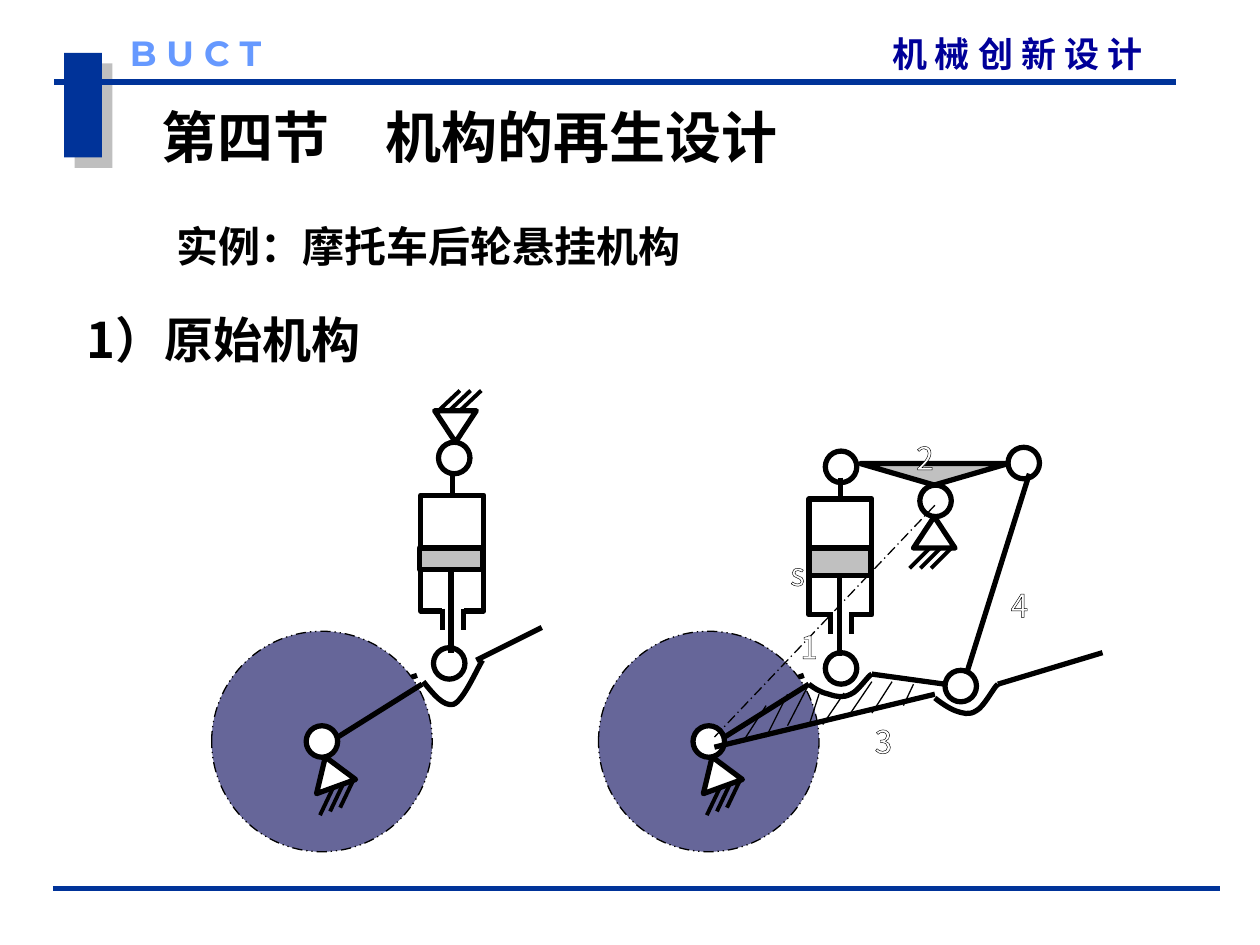
from lxml import etree
from pptx import Presentation
from pptx.dml.color import RGBColor
from pptx.enum.dml import MSO_LINE
from pptx.enum.shapes import MSO_CONNECTOR, MSO_SHAPE
from pptx.enum.text import MSO_ANCHOR, PP_ALIGN
from pptx.oxml.ns import qn
from pptx.util import Inches, Pt

RECT, OVAL = MSO_SHAPE.RECTANGLE, MSO_SHAPE.OVAL
TRI, MERGE = MSO_SHAPE.ISOSCELES_TRIANGLE, MSO_SHAPE.FLOWCHART_MERGE
STRAIGHT = MSO_CONNECTOR.STRAIGHT
DASH, DASH2 = MSO_LINE.LONG_DASH_DOT, MSO_LINE.DASH_DOT_DOT
LEFT, TOP = PP_ALIGN.LEFT, MSO_ANCHOR.TOP
BLACK, WHITE, GREY, NAVY = "000000", "FFFFFF", "C0C0C0", "003399"
NOTO = "Noto Sans CJK SC"


def color(code):
    return RGBColor.from_string(code)


def node(parent, tag, **attrs):
    return etree.SubElement(parent, qn(tag), {k: str(v) for k, v in attrs.items()})


class Sketch:
    def __init__(self, slide):
        self.slide = slide
        self.shapes = slide.shapes

    def stroke(self, line, code, width, dash=None):
        line.color.rgb = color(code)
        line.width = Pt(width)
        if dash:
            line.dash_style = dash

    def shape(self, kind, x, y, w, h, fill=WHITE, line=BLACK, width=3, rot=0, dash=None):
        item = self.shapes.add_shape(kind, *map(Inches, (x, y, w, h)))
        item.shadow.inherit = False
        item.rotation = rot
        item.fill.solid()
        item.fill.fore_color.rgb = color(fill)
        if line:
            self.stroke(item.line, line, width, dash)
        else:
            item.line.fill.background()
        return item

    def line(self, x1, y1, x2, y2, width=3, code=BLACK, dash=None):
        item = self.shapes.add_connector(STRAIGHT, *map(Inches, (x1, y1, x2, y2)))
        self.stroke(item.line, code, width, dash)
        node(item._element.spPr, "a:effectLst")
        return item

    def curve(self, *points):
        """Draw cubic curves: a start, then three points for each curve."""
        spots = [(Inches(x), Inches(y)) for x, y in points]
        build = self.shapes.build_freeform(*spots[0])
        build.add_line_segments(spots[1:], close=False)
        item = build.convert_to_shape()
        item.shadow.inherit = False
        item.fill.background()
        self.stroke(item.line, BLACK, 3)
        steps = list(item._element.iter(qn("a:lnTo")))
        for i in range(0, len(steps), 3):
            bend = node(steps[i].getparent(), "a:cubicBezTo")
            for step in steps[i:i + 3]:
                bend.append(step[0])
                step.getparent().remove(step)

    def fill_text(self, box, text, size, code, name, bold=True, pad=True, wrap=True):
        frame = box.text_frame
        frame.word_wrap = wrap
        frame.vertical_anchor = TOP
        frame.margin_left = frame.margin_right = Inches(0.1 if pad else 0)
        frame.margin_top = frame.margin_bottom = Inches(0.05 if pad else 0)
        frame.text = text
        para = frame.paragraphs[0]
        para.alignment = LEFT
        para.space_before = Pt(0)
        props = para._p.get_or_add_pPr()
        props.set("marL", "0")
        props.set("indent", "0")
        node(props, "a:buNone")
        font = para.font
        font.size, font.bold, font.name = Pt(size), bold, name
        font.color.rgb = color(code)
        node(props.find(qn("a:defRPr")), "a:ea", typeface=NOTO)
        return para

    def text(self, x, y, w, h, *args, **style):
        box = self.shapes.add_textbox(*map(Inches, (x, y, w, h)))
        return self.fill_text(box, *args, **style)

    def holder(self, index, x, y, w, h, *args):
        box = self.slide.placeholders[index]
        box.left, box.top, box.width, box.height = map(Inches, (x, y, w, h))
        self.fill_text(box, *args)

    def label(self, x, y, text):
        para = self.text(x, y, 0.12, 0.25, text, 18, WHITE, NOTO, bold=False, wrap=False)
        edge = node(para.runs[0]._r.get_or_add_rPr(), "a:ln", w=Pt(0.75))
        node(node(edge, "a:solidFill"), "a:srgbClr", val=BLACK)

    def joint(self, x, y):
        self.shape(OVAL, x, y, 0.25, 0.25)

    def ground(self, x, y, rot, start, step, reach):
        """Draw a fixed support with three hatch lines."""
        self.shape(TRI, x, y, 0.33, 0.25, rot=rot)
        for i in range(3):
            hx, hy = start[0] + i * step[0], start[1] + i * step[1]
            self.line(hx, hy, hx + reach[0], hy + reach[1], 2.25)

    def wheel(self, x):
        """Draw a wheel with its hub, support and arm."""
        self.line(x + 1.23, 5.5, x + 1.63, 5.36)
        self.shape(OVAL, x, 5.01, 1.75, 1.75, "666699", width=0.75, dash=DASH2)
        self.joint(x + 0.75, 5.76)
        self.ground(x + 0.78, 6, 340, (x + 0.96, 6.26), (0.08, -0.03), (-0.1, 0.21))
        self.line(x + 1, 5.85, x + 1.67, 5.43)

    def damper(self, x, y, px, py, pw, ph):
        """Draw a cylinder at x, y with its piston box."""
        case = self.shape(RECT, x, y, 0.5, 0.92)
        self.shape(RECT, x + 0.17, y + 0.67, 0.17, 0.42, line=WHITE, width=0.75)
        stem = self.line(x + 0.25, y - 0.17, x + 0.25, y)
        stem.end_connect(case, 0)
        for lip in (0.17, 0.34):
            self.line(x + lip, y + 0.9, x + lip, y + 1.07)
        piston = self.shape(RECT, px, py, pw, ph, GREY)
        rod = self.line(px + pw / 2, py + ph, px + pw / 2, y + 1.25)
        rod.begin_connect(piston, 2)


def main():
    deck = Presentation()
    deck.slide_width, deck.slide_height = Inches(10), Inches(7.5)
    art = Sketch(deck.slides.add_slide(deck.slide_layouts[1]))

    # Page frame
    mark = art.shape(RECT, 0.51, 0.42, 0.3, 0.83, NAVY, None)
    cast = node(mark._element.spPr.find(qn("a:effectLst")), "a:outerShdw",
                dist=Pt(8.5), dir=45 * 60000, algn="ctr", rotWithShape=0)
    node(node(cast, "a:srgbClr", val="808080"), "a:alpha", val=50000)
    art.line(0.43, 0.65, 9.33, 0.65, code=NAVY)
    art.line(0.42, 7.05, 9.68, 7.05, code=NAVY)
    art.text(7.08, 0.26, 2.46, 0.33, "机 械 创 新 设 计", 20, "000099", NOTO, pad=False)
    art.text(1.03, 0.25, 1.42, 0.33, "B U C T", 20, "6699FF", "Montserrat", pad=False)

    # Headings
    art.holder(0, 1.18, 0.76, 5.59, 0.64, "第四节　机构的再生设计", 32, BLACK, "Arial")
    art.text(1.3, 1.7, 6.3, 0.5, "实例：摩托车后轮悬挂机构", 24, BLACK, "Arial")
    art.holder(1, 0.59, 2.41, 2.68, 0.57, "1）原始机构", 28, BLACK, NOTO)

    # Left mechanism
    art.line(3.78, 5.24, 4.3, 4.98)
    art.joint(3.48, 3.51)
    art.ground(3.45, 3.26, 180, (3.48, 3.26), (0.085, 0), (0.17, -0.16))
    art.joint(3.44, 5.14)
    art.curve((3.36, 5.41), (3.44, 5.51), (3.52, 5.61), (3.6, 5.59),
              (3.68, 5.56), (3.79, 5.3), (3.83, 5.24))
    art.damper(3.34, 3.93, 3.33, 4.35, 0.5, 0.17)
    art.wheel(1.68)

    # Right mechanism: joints, wheel and damper
    art.joint(7.3, 3.85)
    art.ground(7.25, 4.1, 0, (7.38, 4.35), (0.085, 0), (-0.16, 0.16))
    for x, y in ((7.5, 5.32), (6.55, 3.58), (8, 3.55), (6.55, 5.18)):
        art.joint(x, y)
    art.wheel(4.75)
    art.damper(6.42, 3.96, 6.42, 4.35, 0.49, 0.22)

    # Right mechanism: rocker, links and swing arm
    art.shape(MERGE, 6.83, 3.68, 1.17, 0.17, GREY)
    for ends in ((5.67, 5.93, 7.42, 5.51), (8.17, 3.76, 7.67, 5.35),
                 (6.92, 5.35, 7.5, 5.43), (7.92, 5.43, 8.75, 5.18)):
        art.line(*ends)
    art.curve((6.42, 5.43), (6.47, 5.47), (6.53, 5.5), (6.58, 5.51), (6.64, 5.53),
              (6.69, 5.54), (6.75, 5.51), (6.81, 5.49), (6.89, 5.36), (6.92, 5.35))
    art.curve((7.42, 5.54), (7.47, 5.58), (7.53, 5.62), (7.58, 5.64), (7.64, 5.66),
              (7.69, 5.68), (7.75, 5.64), (7.81, 5.61), (7.89, 5.45), (7.92, 5.43))

    # Swing arm hatching and centre line
    for ends in ((6.08, 5.6, 5.92, 5.85), (6.25, 5.51, 6.08, 5.85),
                 (6.42, 5.43, 6.25, 5.76), (6.5, 5.51, 6.42, 5.76),
                 (6.7, 5.5, 6.53, 5.75), (6.92, 5.41, 6.75, 5.66),
                 (7.08, 5.41, 6.92, 5.66), (7.25, 5.43, 7.17, 5.6)):
        art.line(*ends, width=0.75)
    art.line(7.42, 4.01, 5.67, 5.85, 0.75, dash=DASH)

    # Part labels
    for x, y, text in ((6.33, 4.93, "1"), (8, 4.6, "4"), (6.92, 5.68, "3"),
                       (7.25, 3.43, "2"), (6.25, 4.35, "s")):
        art.label(x, y, text)

    deck.save("out.pptx")


if __name__ == "__main__":
    main()
